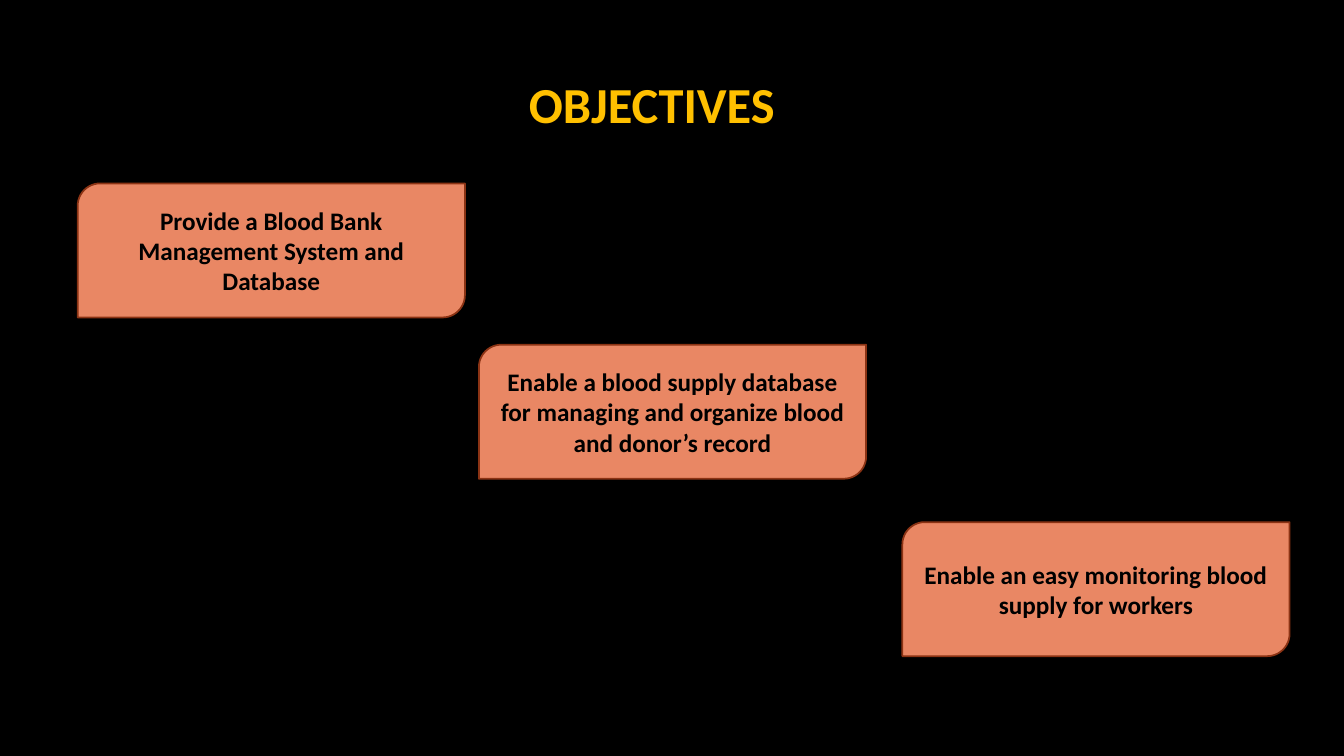
from pptx import Presentation
from pptx.dml.color import RGBColor
from pptx.enum.shapes import MSO_SHAPE as Shape
from pptx.enum.text import MSO_ANCHOR as Anchor, PP_ALIGN as Align
from pptx.util import Inches, Pt

BLACK = RGBColor(0x00, 0x00, 0x00)
GOLD = RGBColor(0xFF, 0xC0, 0x00)
CORAL = RGBColor(0xE9, 0x87, 0x64)
RUST = RGBColor(0x8B, 0x33, 0x14)

CARD_SIZE = (28.81, 17.73)
OBJECTIVES = [
    (5.78, 24.27, "Provide a Blood Bank Management System and Database"),
    (35.63, 45.6, "Enable a blood supply database for managing and organize blood and donor’s record"),
    (67.14, 69.07, "Enable an easy monitoring blood supply for workers"),
]


class SlideBuilder:
    """Holds the style and the slide; lengths are percentages of the slide's size."""

    font_name = "Calibri"
    title_size = Pt(36)
    card_text_size = Pt(18)
    outline_width = Pt(1.25)

    def __init__(self, presentation):
        self.width = presentation.slide_width
        self.height = presentation.slide_height
        self.slide = presentation.slides.add_slide(presentation.slide_layouts[5])
        background = self.slide.background.fill
        background.solid()
        background.fore_color.rgb = BLACK

    def place(self, left, top, width, height):
        return (
            round(left * self.width / 100),
            round(top * self.height / 100),
            round(width * self.width / 100),
            round(height * self.height / 100),
        )

    def add_text(self, shape, text, size, color, wrap=True):
        frame = shape.text_frame
        frame.word_wrap = wrap
        frame.vertical_anchor = Anchor.MIDDLE
        paragraph = frame.paragraphs[0]
        paragraph.alignment = Align.CENTER
        run = paragraph.add_run()
        run.text = text
        run.font.name = self.font_name
        run.font.size = size
        run.font.bold = True
        run.font.color.rgb = color

    def title(self, text, *area):
        shape = self.slide.shapes.title
        shape.left, shape.top, shape.width, shape.height = self.place(*area)
        self.add_text(shape, text, self.title_size, GOLD, wrap=False)

    def card(self, text, *area):
        shape = self.slide.shapes.add_shape(Shape.ROUND_2_DIAG_RECTANGLE, *self.place(*area))
        shape.shadow.inherit = False
        shape.fill.solid()
        shape.fill.fore_color.rgb = CORAL
        shape.line.color.rgb = RUST
        shape.line.width = self.outline_width
        self.add_text(shape, text, self.card_text_size, BLACK)


def main():
    presentation = Presentation()
    presentation.slide_width = Inches(13.33)
    presentation.slide_height = Inches(7.5)
    builder = SlideBuilder(presentation)
    builder.title("OBJECTIVES", 36.16, 8.93, 24.68, 9.47)
    for left, top, text in OBJECTIVES:
        builder.card(text, left, top, *CARD_SIZE)
    presentation.save("out.pptx")


if __name__ == "__main__":
    main()
